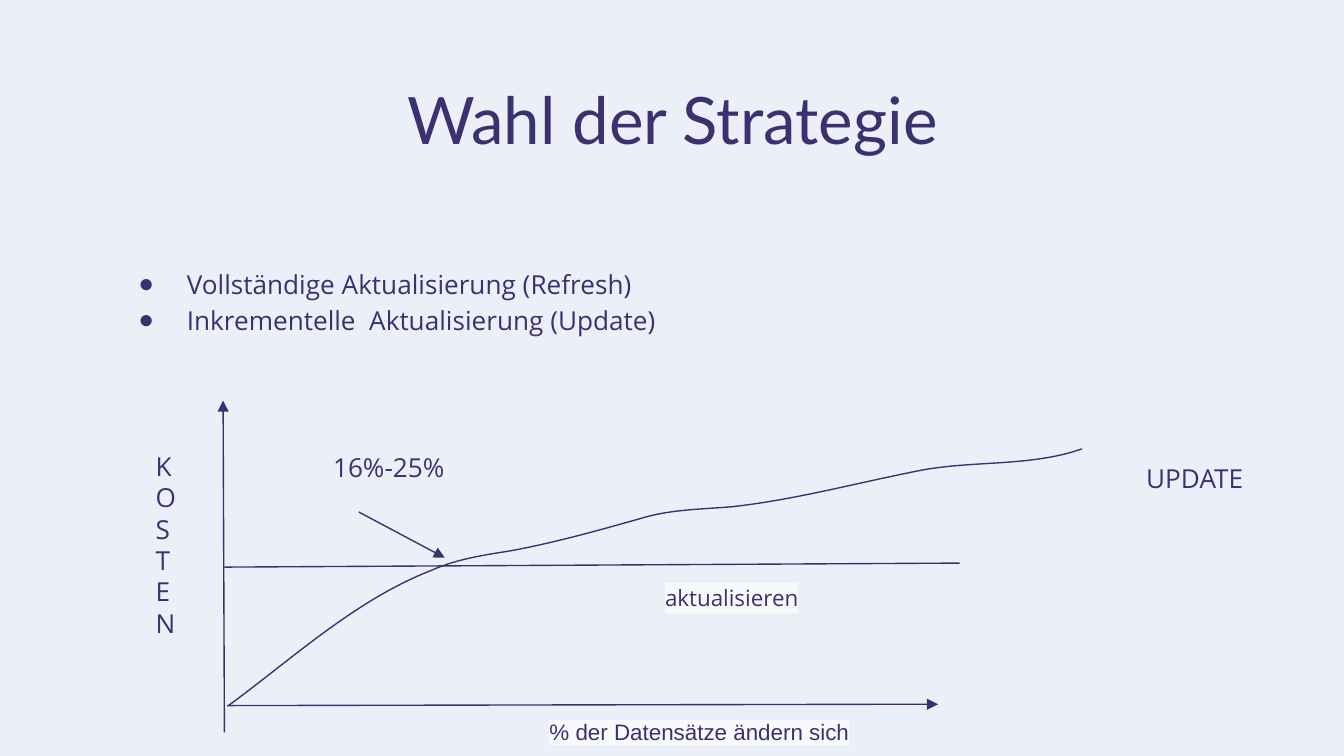
import lxml.etree
import pptx
import pptx.dml.color
import pptx.enum.shapes
import pptx.enum.text
import pptx.oxml.ns
import pptx.util

Inches, Pt = pptx.util.Inches, pptx.util.Pt
qn = pptx.oxml.ns.qn
ALIGN = pptx.enum.text.PP_ALIGN

# Content
COLORS = {"ink": "3B3170", "background": "EDEFF8", "highlight": "F8F9FA"}
TITLE = "Wahl der Strategie"
STRATEGIES = [
    "Vollständige Aktualisierung (Refresh)",
    "Inkrementelle  Aktualisierung (Update)",
]
# lines, box (left, top, width, height), font, size, line spacing, highlighted
LABELS = [
    (list("KOSTEN"), (1.06, 3.25, 0.21, 1.17), "Open Sans", 14, None, False),
    (["% der Datensätze ändern sich"], (3.99, 5.24, 5.7, 0.25), "Arial", 12, None, True),
    (["aktualisieren"], (4.85, 4.19, 4.37, 0.4), "Open Sans", 12, 1.29, True),
    (["UPDATE"], (8.43, 3.34, 1.57, 0.25), "Open Sans", 14, None, False),
    (["16%-25%"], (2.38, 3.26, 2.05, 0.38), "Open Sans", 14, None, False),
]
# start, end, arrowhead
LINES = [
    ((1.69, 5.25), (6.98, 5.24), True),   # share of changed records
    ((1.67, 5.45), (1.66, 2.98), True),   # cost axis
    ((1.67, 4.22), (7.14, 4.19), False),  # constant refresh cost
    ((2.67, 3.81), (3.31, 4.15), True),   # pointer to break-even
]
# Update cost: start point, then two control points and an end per curve
UPDATE_CURVE = [
    (1.7, 5.25),
    (2.19, 4.89), (2.65, 4.46), (3.22, 4.24),
    (3.4, 4.16), (3.6, 4.13), (3.79, 4.1),
    (4.12, 4.04), (4.44, 3.95), (4.76, 3.86),
    (4.98, 3.79), (5.22, 3.79), (5.45, 3.77),
    (5.9, 3.72), (6.35, 3.6), (6.8, 3.51),
    (7.21, 3.42), (7.65, 3.48), (8.05, 3.34),
]


def rgb(name):
    return pptx.dml.color.RGBColor.from_string(COLORS[name])


def add_color(parent, tag, name):
    el = lxml.etree.SubElement(parent, qn(tag))
    lxml.etree.SubElement(el, qn("a:srgbClr"), val=COLORS[name])


def place(sp, box):
    sp.left, sp.top, sp.width, sp.height = map(Inches, box)


def write(sp, lines, font, size, align=ALIGN.LEFT, spacing=None,
          bullets=False, highlighted=False):
    tf = sp.text_frame
    tf.word_wrap = True
    tf.auto_size = pptx.enum.text.MSO_AUTO_SIZE.NONE
    tf.vertical_anchor = pptx.enum.text.MSO_ANCHOR.TOP
    tf.margin_left = tf.margin_right = tf.margin_top = tf.margin_bottom = Inches(0.1)
    for i, line in enumerate(lines):
        p = tf.add_paragraph() if i else tf.paragraphs[0]
        if bullets:
            pPr = p._p.get_or_add_pPr()
            pPr.set("marL", str(Inches(0.5)))
            pPr.set("indent", str(Inches(-0.36)))
            add_color(pPr, "a:buClr", "ink")
            lxml.etree.SubElement(pPr, qn("a:buChar"), char="●")
        p.alignment = align
        p.space_before = Pt(0)
        if spacing:
            p.line_spacing = spacing
        r = p.add_run()
        r.text = line
        r.font.size = Pt(size)
        r.font.color.rgb = rgb("ink")
        if highlighted:
            add_color(r._r.get_or_add_rPr(), "a:highlight", "highlight")
        r.font.name = font


def style_line(sp):
    sp.line.color.rgb = rgb("ink")
    sp.line.width = Pt(0.75)


def add_line(start, end, arrow):
    sp = shapes.add_connector(pptx.enum.shapes.MSO_CONNECTOR.STRAIGHT,
                              *map(Inches, start + end))
    style_line(sp)
    if arrow:
        lxml.etree.SubElement(sp.line._get_or_add_ln(), qn("a:tailEnd"), type="triangle")
    lxml.etree.SubElement(sp._element.spPr, qn("a:effectLst"))


def add_curve(points):
    points = [(Inches(x), Inches(y)) for x, y in points]
    builder = shapes.build_freeform(*points[0])
    builder.add_line_segments(points[1:], close=False)
    sp = builder.convert_to_shape()
    sp.fill.background()
    style_line(sp)
    sp.shadow.inherit = False
    # Merge every three line segments into one cubic curve
    segments = list(sp._element.iter(qn("a:lnTo")))
    for i in range(0, len(segments), 3):
        curve = lxml.etree.Element(qn("a:cubicBezTo"))
        segments[i].addprevious(curve)
        for segment in segments[i:i + 3]:
            curve.append(segment[0])
            segment.getparent().remove(segment)


prs = pptx.Presentation()
prs.slide_width = Inches(10)
prs.slide_height = prs.slide_width * 9 // 16
s = prs.slides.add_slide(prs.slide_layouts[0])
shapes = s.shapes
s.background.fill.solid()
s.background.fill.fore_color.rgb = rgb("background")

# Title and strategies
place(shapes.title, (0.79, 0.49, 8.43, 0.63))
write(shapes.title, [TITLE], "Lato", 35, ALIGN.CENTER)
body = s.placeholders[1]
place(body, (0.79, 1.86, 4.7, 0.85))
write(body, STRATEGIES, "Open Sans", 14, spacing=1.15, bullets=True)

# Cost diagram
for start, end, arrow in LINES:
    add_line(start, end, arrow)
add_curve(UPDATE_CURVE)
for lines, box, font, size, spacing, highlighted in LABELS:
    label = shapes.add_textbox(*map(Inches, box))
    write(label, lines, font, size, spacing=spacing, highlighted=highlighted)

prs.save("out.pptx")
